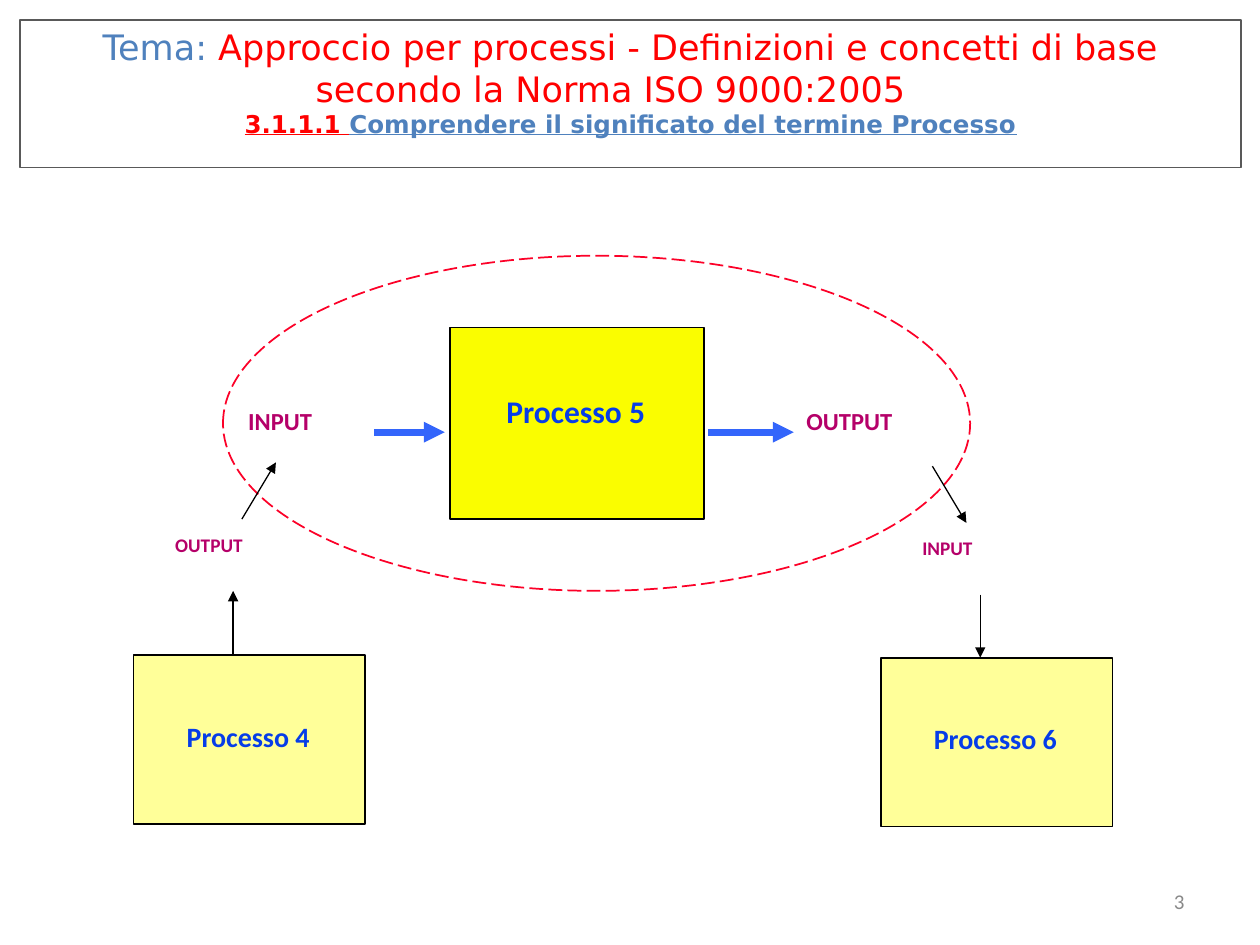
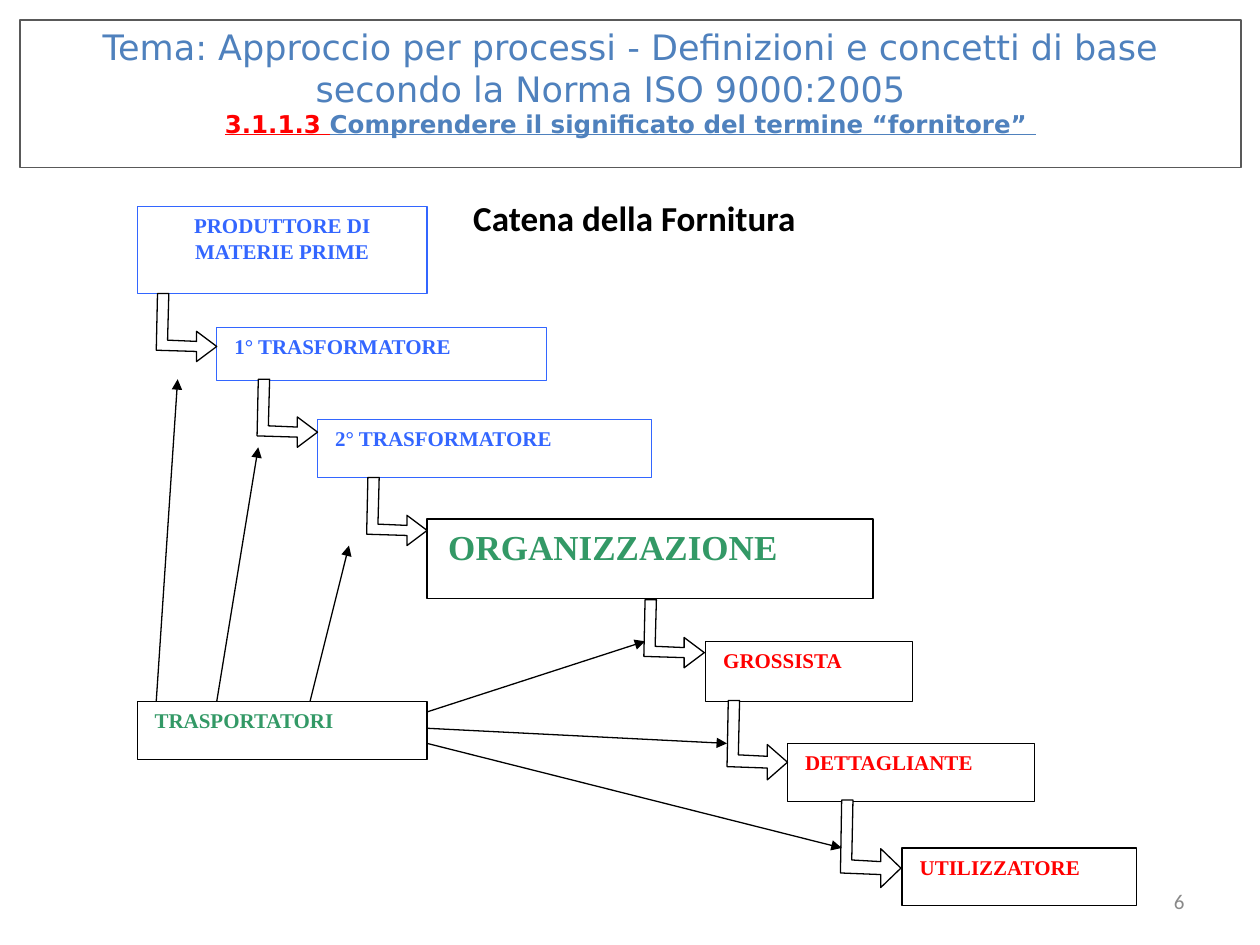
from lxml import etree
from pptx import Presentation
from pptx.dml.color import RGBColor
from pptx.enum.dml import MSO_LINE_DASH_STYLE as Dash
from pptx.enum.shapes import MSO_CONNECTOR as Connector, MSO_SHAPE as Shape
from pptx.enum.text import MSO_ANCHOR as Anchor, PP_ALIGN as Align
from pptx.oxml.ns import qn
from pptx.util import Inches, Pt

# Shared colours and fonts
BLACK, WHITE, RED = "000000", "FFFFFF", "FF0000"
TITLE_BLUE, GREY, FRAME = "4F81BD", "898989", "595959"
PROCESS_BLUE, FLOW_BLUE, FLOW_PURPLE = "063DE8", "3365FB", "B50069"
BRIGHT_YELLOW, PALE_YELLOW, DASH_RED = "FAFD00", "FFFF99", "FC0128"
SUPPLY_BLUE, GREEN = "3366FF", "339966"
SANS, TITLE_FONT, SERIF = "Calibri", "DejaVu Sans", "Times New Roman"

TOPIC = ("Approccio per processi - Definizioni e concetti di base "
         "secondo la Norma ISO 9000:2005 \t")

# Elbow outline relative to its tip, for an elbow that drops 0.42 inches
ELBOW_DROP = 0.42
ELBOW = [(-0.16, -0.12), (-0.16, -0.04), (-0.39, -0.05), (-0.38, -0.42),
         (-0.47, -0.42), (-0.48, 0.03), (-0.16, 0.04), (-0.16, 0.12)]


def rgb(hex_color):
    return RGBColor.from_string(hex_color)


def style_shape(shape, fill, line, width):
    shape.shadow.inherit = False
    if fill:
        shape.fill.solid()
        shape.fill.fore_color.rgb = rgb(fill)
    else:
        shape.fill.background()
    shape.line.color.rgb = rgb(line)
    shape.line.width = Pt(width)


def style_run(run, size, color, font, bold=False, underline=False):
    run.font.size = Pt(size)
    run.font.name = font
    run.font.color.rgb = rgb(color)
    run.font.bold = bold
    run.font.underline = underline


def set_frame(frame, anchor, side, top):
    frame.word_wrap = True
    frame.vertical_anchor = anchor
    frame.margin_left = frame.margin_right = Inches(side)
    frame.margin_top = frame.margin_bottom = Inches(top)


def write(shape, text, size, color, font=SANS, bold=True, align=Align.LEFT,
          anchor=Anchor.TOP, side=0.1, top=0.05):
    set_frame(shape.text_frame, anchor, side, top)
    paragraph = shape.text_frame.paragraphs[0]
    paragraph.text = text
    paragraph.alignment = align
    style_run(paragraph.runs[0], size, color, font, bold)


def add_preset(slide, kind, place, fill, line, width):
    shape = slide.shapes.add_shape(kind, *map(Inches, place))
    style_shape(shape, fill, line, width)
    return shape


def add_label(slide, place, text, size, color, **options):
    label = slide.shapes.add_textbox(*map(Inches, place))
    write(label, text, size, color, **options)


def add_arrow(slide, start, end, color=BLACK, width=0.75):
    arrow = slide.shapes.add_connector(Connector.STRAIGHT,
                                       *map(Inches, (*start, *end)))
    arrow.line.color.rgb = rgb(color)
    arrow.line.width = Pt(width)
    outline = arrow.line._get_or_add_ln()
    etree.SubElement(outline, qn("a:tailEnd"), type="triangle")
    etree.SubElement(arrow._element.spPr, qn("a:effectLst"))


def add_elbow(slide, tip_x, tip_y, drop):
    """Draw a hollow arrow that goes down by drop, then right to its tip."""
    stretch = drop / ELBOW_DROP
    outline = [(Inches(tip_x + dx), Inches(tip_y + dy * stretch))
               for dx, dy in ELBOW]
    builder = slide.shapes.build_freeform(Inches(tip_x), Inches(tip_y))
    builder.add_line_segments(outline, close=True)
    style_shape(builder.convert_to_shape(), WHITE, BLACK, 0.75)


def add_page(deck, topic_color, section, heading, number):
    """Add a slide with the framed title and the slide number."""
    slide = deck.slides.add_slide(deck.slide_layouts[6])
    band = add_preset(slide, Shape.RECTANGLE, (0.16, 0.16, 9.69, 1.17),
                      None, FRAME, 0.75)
    set_frame(band.text_frame, Anchor.TOP, 0.1, 0.04)
    title = band.text_frame.paragraphs[0]
    title.alignment = Align.CENTER
    for text, size, color, strong in [("Tema: ", 20, TITLE_BLUE, False),
                                      (TOPIC, 20, topic_color, False),
                                      (section, 14, RED, True),
                                      (heading, 14, TITLE_BLUE, True)]:
        if text == section:
            title.add_line_break()
        run = title.add_run()
        run.text = text
        style_run(run, size, color, TITLE_FONT, strong, strong)
    add_label(slide, (7.17, 6.95, 2.33, 0.4), number, 12, GREY, bold=False,
              align=Align.RIGHT, anchor=Anchor.MIDDLE)
    return slide


def add_process(slide, box, caption, name, size, fill):
    add_preset(slide, Shape.RECTANGLE, box, fill, BLACK, 1)
    add_label(slide, caption, name, size, PROCESS_BLUE, align=Align.CENTER,
              side=0.05, top=0.03)


def add_flow_label(slide, left, top, text, size):
    add_label(slide, (left, top, 1.17, 0.49), text, size, FLOW_PURPLE,
              side=0.05, top=0.03)


def build_process_slide(deck):
    slide = add_page(deck, RED, "3.1.1.1 ",
                     "Comprendere il significato del termine Processo", "3")

    # Central process with its input and output
    add_process(slide, (3.57, 2.6, 2.02, 1.52), (3.72, 3.08, 1.7, 0.59),
                "Processo 5", 18, BRIGHT_YELLOW)
    add_flow_label(slide, 1.92, 3.19, "INPUT", 14)
    add_flow_label(slide, 6.35, 3.19, "OUTPUT", 14)
    for start, end in [(2.97, 3.53), (5.62, 6.3)]:
        add_arrow(slide, (start, 3.43), (end, 3.43), FLOW_BLUE, 4)
    boundary = add_preset(slide, Shape.OVAL, (1.77, 2.03, 5.93, 2.66),
                          None, DASH_RED, 1)
    boundary.line.dash_style = Dash.LONG_DASH

    # Neighbouring processes
    for name, left, top in [("Processo 4", 1.06, 5.2),
                            ("Processo 6", 6.99, 5.22)]:
        add_process(slide, (left, top, 1.84, 1.34),
                    (left + 0.18, top + 0.48, 1.46, 0.6),
                    name, 16, PALE_YELLOW)
    add_flow_label(slide, 1.34, 4.2, "OUTPUT", 11)
    add_flow_label(slide, 7.27, 4.23, "INPUT", 11)
    for start, end in [((1.85, 5.2), (1.85, 4.69)),
                       ((1.92, 4.12), (2.19, 3.67)),
                       ((7.78, 4.72), (7.78, 5.22)),
                       ((7.4, 3.7), (7.67, 4.15))]:
        add_arrow(slide, start, end)


def build_supply_slide(deck):
    slide = add_page(deck, TITLE_BLUE, "3.1.1.3 ",
                     "Comprendere il significato del termine “fornitore” ", "6")
    add_label(slide, (0.23, 1.51, 9.61, 0.44), "Catena della Fornitura", 20,
              BLACK, align=Align.CENTER, anchor=Anchor.MIDDLE)

    # Links of the supply chain
    links = [
        ("PRODUTTORE DI MATERIE PRIME", (1.09, 1.64, 2.3, 0.69),
         12, SUPPLY_BLUE, SUPPLY_BLUE, Align.CENTER),
        (" 1° TRASFORMATORE", (1.72, 2.6, 2.62, 0.42),
         12, SUPPLY_BLUE, SUPPLY_BLUE, Align.LEFT),
        (" 2° TRASFORMATORE", (2.52, 3.33, 2.65, 0.46),
         12, SUPPLY_BLUE, SUPPLY_BLUE, Align.LEFT),
        (" ORGANIZZAZIONE", (3.39, 4.12, 3.54, 0.63),
         20, GREEN, BLACK, Align.LEFT),
        (" TRASPORTATORI", (1.09, 5.57, 2.3, 0.46),
         12, GREEN, BLACK, Align.LEFT),
        (" GROSSISTA", (5.6, 5.09, 1.64, 0.48), 12, RED, BLACK, Align.LEFT),
        (" DETTAGLIANTE", (6.25, 5.9, 1.96, 0.46), 12, RED, BLACK, Align.LEFT),
        (" UTILIZZATORE", (7.16, 6.73, 1.86, 0.46), 12, RED, BLACK, Align.LEFT),
    ]
    for name, place, size, color, border, align in links:
        link = add_preset(slide, Shape.RECTANGLE, place, WHITE, border, 0.75)
        write(link, name, size, color, font=SERIF, align=align)

    # Elbows from each link to the next
    for tip_x, tip_y, drop in [(1.72, 2.75, 0.42), (2.52, 3.43, 0.42),
                               (3.39, 4.21, 0.42), (5.59, 5.18, 0.42),
                               (6.25, 6.05, 0.49), (7.15, 6.89, 0.54)]:
        add_elbow(slide, tip_x, tip_y, drop)

    # Carriers serve every passage
    for start, end in [((1.72, 5.57), (2.05, 3.55)),
                       ((1.24, 5.57), (1.41, 3.01)),
                       ((2.46, 5.57), (2.77, 4.33)),
                       ((3.39, 5.65), (5.12, 5.09)),
                       ((3.39, 5.78), (5.77, 5.9)),
                       ((3.39, 5.9), (6.68, 6.73))]:
        add_arrow(slide, start, end)


def main():
    deck = Presentation()
    deck.slide_width, deck.slide_height = Inches(10), Inches(7.5)
    build_process_slide(deck)
    build_supply_slide(deck)
    deck.save("out.pptx")


if __name__ == "__main__":
    main()
